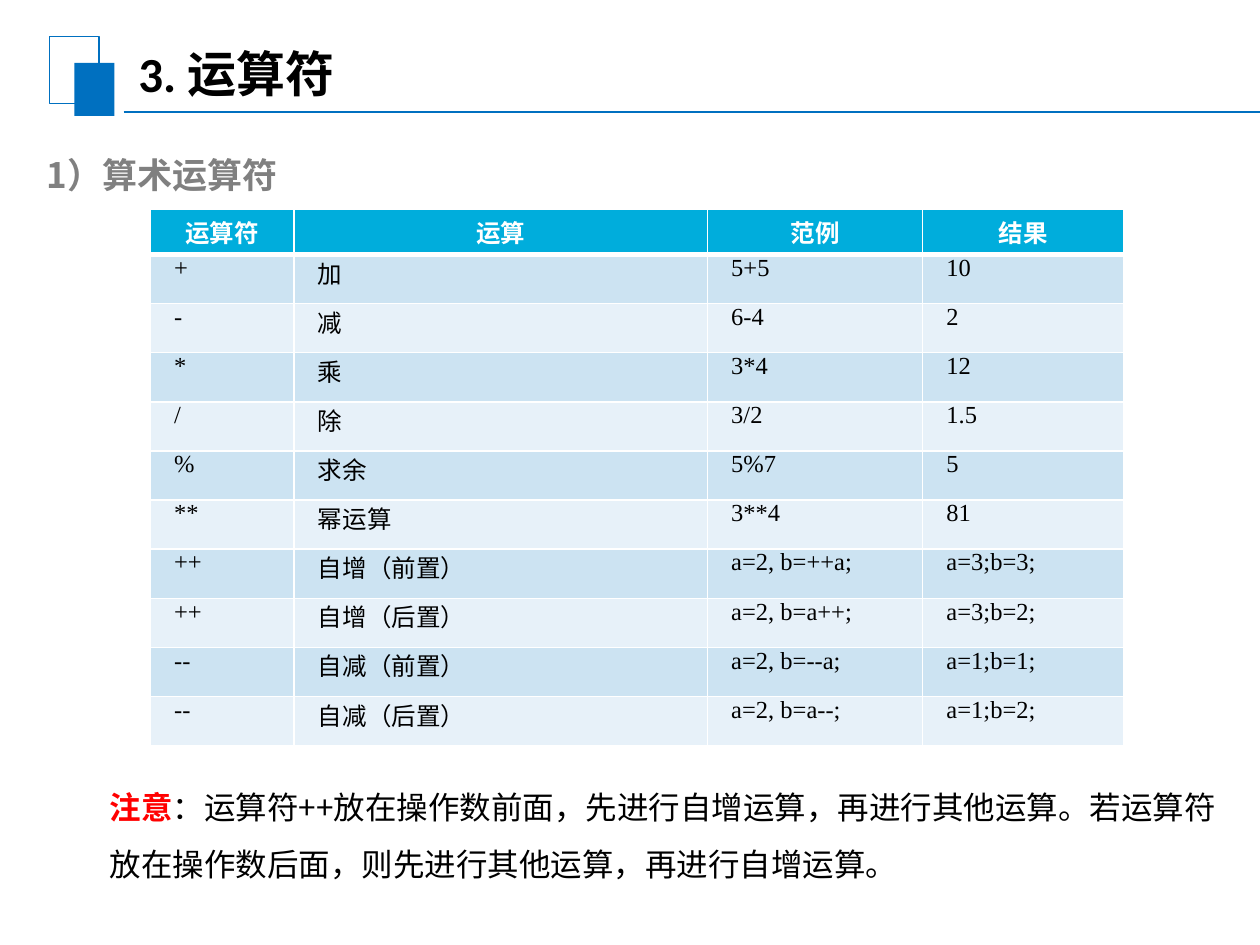
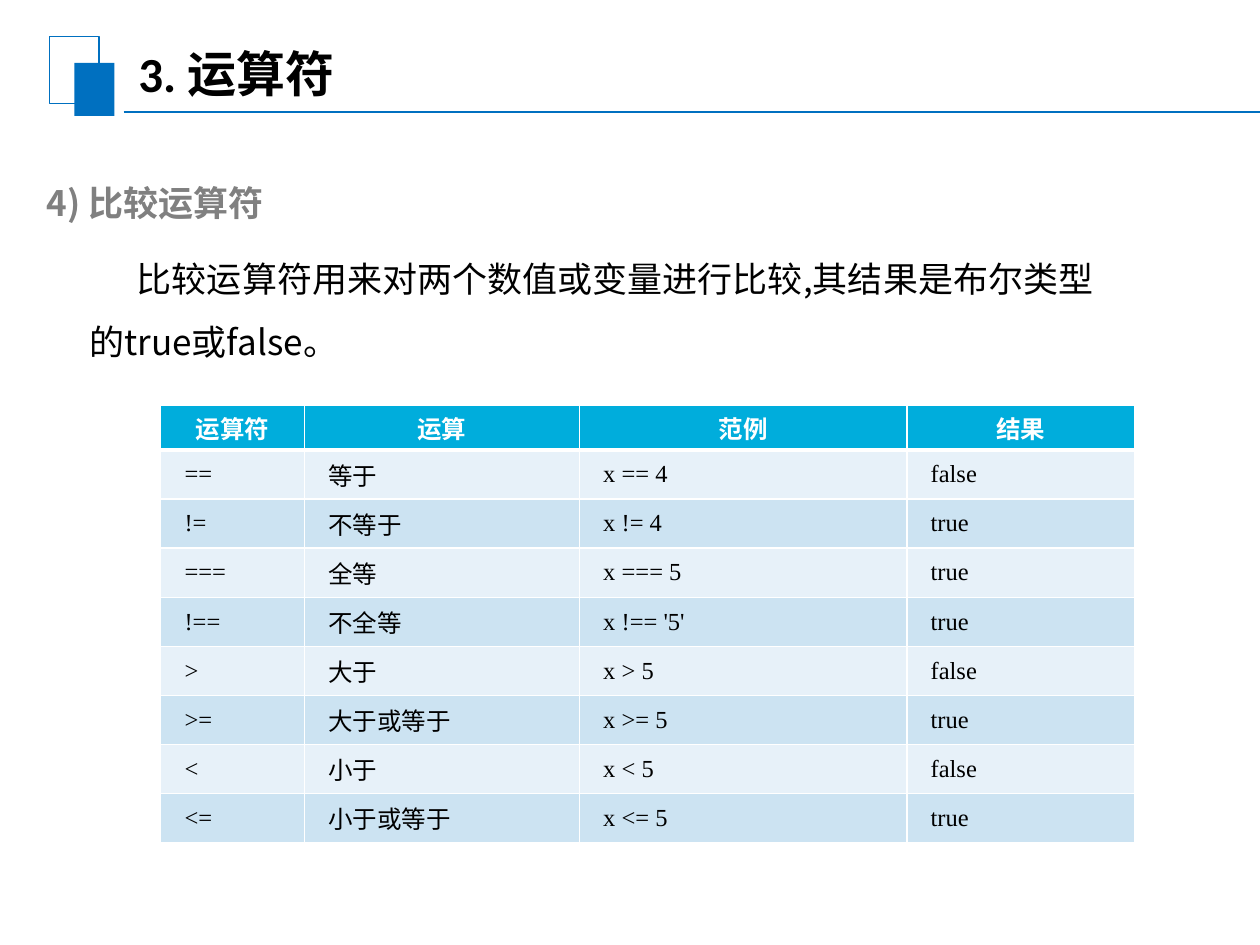
from dataclasses import dataclass
from typing import Any

from lxml import etree
from pptx import Presentation
from pptx import util as u
from pptx.dml.color import RGBColor
from pptx.enum import lang, shapes, text
from pptx.oxml.ns import qn

Cm, Pt = u.Cm, u.Pt

BLUE = RGBColor(0x00, 0x70, 0xC0)
HEADER_BLUE = RGBColor(0x00, 0xAD, 0xDC)
BAND_DARK = RGBColor(0xCC, 0xE3, 0xF2)
BAND_LIGHT = RGBColor(0xE7, 0xF1, 0xF9)
WHITE = RGBColor(0xFF, 0xFF, 0xFF)
BLACK = RGBColor(0x00, 0x00, 0x00)
GRAY = RGBColor(0x80, 0x80, 0x80)
RED = RGBColor(0xFF, 0x00, 0x00)

CJK_FONT = "Noto Sans CJK SC"
TITLE = {"name": "Calibri", "size": Pt(28), "bold": True, "color": BLACK}
HEADING = {"name": CJK_FONT, "size": Pt(20), "bold": True, "color": GRAY}
BODY = {"name": CJK_FONT, "size": Pt(20), "bold": False, "color": BLACK}
NOTE = BODY | {"size": Pt(18)}
NOTE_LABEL = NOTE | {"bold": True, "color": RED}
TABLE_HEAD = {"name": "Calibri", "size": Pt(14), "bold": True, "color": WHITE}
TABLE_BODY = {"name": "Times New Roman", "size": Pt(14), "bold": False, "color": BLACK}

COLUMN_NAMES = ("运算符", "运算", "范例", "结果")
HEADER_HEIGHT, ROW_HEIGHT = 0.91, 0.99


@dataclass(frozen=True)
class Box:
    """Position and size in centimetres."""
    left: float
    top: float
    width: float
    height: float

    def lengths(self) -> tuple:
        return tuple(map(Cm, (self.left, self.top, self.width, self.height)))


@dataclass(frozen=True)
class TextBlock:
    box: Box
    runs: tuple[tuple[str, dict[str, Any]], ...]
    margin: float = 0
    indent: float = 0
    line_spacing: float = 1.0


@dataclass(frozen=True)
class OperatorTable:
    left: float
    top: float
    columns: tuple[float, ...]
    bands: tuple[RGBColor, RGBColor]
    anchor: text.MSO_ANCHOR
    rows: tuple[tuple[str, ...], ...]


@dataclass(frozen=True)
class OperatorSlide:
    blocks: tuple[TextBlock, ...]
    table: OperatorTable


SLIDES = (
    OperatorSlide(
        (
            TextBlock(Box(0.69, 2.97, 23.42, 1.12), (("1）算术运算符", HEADING),), 1.27, -1.27),
            TextBlock(
                Box(1.96, 15.39, 23.34, 2.41),
                (
                    ("注意", NOTE_LABEL),
                    ("：运算符++放在操作数前面，先进行自增运算，再进行其他运算。"
                     "若运算符放在操作数后面，则先进行其他运算，再进行自增运算。", NOTE),
                ),
                line_spacing=1.5,
            ),
        ),
        OperatorTable(
            3.03, 4.22, (2.9, 8.33, 4.34, 4.06), (BAND_DARK, BAND_LIGHT), text.MSO_ANCHOR.TOP,
            (
                ("+", "加", "5+5", "10"),
                ("-", "减", "6-4", "2"),
                ("*", "乘", "3*4", "12"),
                ("/", "除", "3/2", "1.5"),
                ("%", "求余", "5%7", "5"),
                ("**", "幂运算", "3**4", "81"),
                ("++", "自增（前置）", "a=2, b=++a;", "a=3;b=3;"),
                ("++", "自增（后置）", "a=2, b=a++;", "a=3;b=2;"),
                ("--", "自减（前置）", "a=2, b=--a;", "a=1;b=1;"),
                ("--", "自减（后置）", "a=2, b=a--;", "a=1;b=2;"),
            ),
        ),
    ),
    OperatorSlide(
        (
            TextBlock(Box(0.69, 3.53, 23.42, 1.12), (("4) 比较运算符", HEADING),), 1.27, -1.27),
            TextBlock(
                Box(1.55, 4.65, 21.31, 2.82),
                (("比较运算符用来对两个数值或变量进行比较,其结果是布尔类型的true或false。", BODY),),
                indent=0.96, line_spacing=1.5,
            ),
        ),
        OperatorTable(
            3.24, 8.16, (2.9, 5.54, 6.6, 4.6), (BAND_LIGHT, BAND_DARK), text.MSO_ANCHOR.MIDDLE,
            (
                ("==", "等于", "x == 4", "false"),
                ("!=", "不等于", "x != 4", "true"),
                ("===", "全等", "x === 5", "true"),
                ("!==", "不全等", "x !== '5'", "true"),
                (">", "大于", "x > 5", "false"),
                (">=", "大于或等于", "x >= 5", "true"),
                ("<", "小于", "x < 5", "false"),
                ("<=", "小于或等于", "x <= 5", "true"),
            ),
        ),
    ),
)


def set_values(target: Any, values: dict[str, Any]) -> None:
    for name, value in values.items():
        setattr(target, name, value)


def add_run(paragraph: Any, content: str, style: dict[str, Any]) -> None:
    run = paragraph.add_run()
    run.text = content
    font = run.font
    set_values(font, {name: value for name, value in style.items() if name != "color"})
    font.color.rgb = style["color"]
    font.language_id = lang.MSO_LANGUAGE_ID.SIMPLIFIED_CHINESE
    latin = run._r.get_or_add_rPr().find(qn("a:latin"))
    east_asian = etree.Element(qn("a:ea"), typeface=CJK_FONT)
    latin.addnext(east_asian)


def set_indent(paragraph: Any, margin: float, indent: float) -> None:
    properties = paragraph._p.get_or_add_pPr()
    properties.set("marL", str(int(Cm(margin))))
    properties.set("indent", str(int(Cm(indent))))


def add_text(slide: Any, block: TextBlock, frame_format: dict[str, Any]) -> None:
    frame = slide.shapes.add_textbox(*block.box.lengths()).text_frame
    set_values(frame, {"word_wrap": True} | frame_format)
    paragraph = frame.paragraphs[0]
    set_indent(paragraph, block.margin, block.indent)
    paragraph.line_spacing = block.line_spacing
    for content, style in block.runs:
        add_run(paragraph, content, style)


def add_rectangle(slide: Any, box: Box, fill: RGBColor | None, line: RGBColor | None) -> None:
    shape = slide.shapes.add_shape(shapes.MSO_SHAPE.RECTANGLE, *box.lengths())
    shape.shadow.inherit = False
    if fill is None:
        shape.fill.background()
    else:
        shape.fill.solid()
        shape.fill.fore_color.rgb = fill
    if line is None:
        shape.line.fill.background()
    else:
        shape.line.color.rgb = line
        shape.line.width = Pt(0.75)


def add_title_band(slide: Any) -> None:
    add_rectangle(slide, Box(1, 0.74, 1, 1.35), None, BLUE)
    add_rectangle(slide, Box(1.5, 1.27, 0.81, 1.07), BLUE, None)
    rule = slide.shapes.add_connector(
        shapes.MSO_CONNECTOR.STRAIGHT, Cm(2.49), Cm(2.26), Cm(25.7), Cm(2.26))
    rule.line.color.rgb = BLUE
    rule.line.width = Pt(1.25)
    etree.SubElement(rule._element.spPr, qn("a:effectLst"))
    title = TextBlock(Box(2.46, 0.74, 10.08, 1.47), (("3. 运算符", TITLE),))
    add_text(slide, title, {
        "vertical_anchor": text.MSO_ANCHOR.MIDDLE,
        "margin_left": Cm(0.33), "margin_right": Cm(0.33),
        "margin_top": Cm(0.18), "margin_bottom": Cm(0.18),
    })


def set_borders(cell: Any, top: float, bottom: float) -> None:
    properties = cell._tc.get_or_add_tcPr()
    for side, points in {"L": 1, "R": 1, "T": top, "B": bottom}.items():
        border = etree.SubElement(properties, qn(f"a:ln{side}"), w=str(int(Pt(points))))
        fill = etree.SubElement(border, qn("a:solidFill"))
        etree.SubElement(fill, qn("a:srgbClr"), val=str(WHITE))


def fill_cell(cell: Any, content: str, row: int, table: OperatorTable) -> None:
    is_header = row == 0
    side_margin = Cm(0.2 if is_header else 0.18)
    set_values(cell, {
        "margin_left": side_margin, "margin_right": side_margin,
        "margin_top": 0, "margin_bottom": 0,
        "vertical_anchor": text.MSO_ANCHOR.MIDDLE if is_header else table.anchor,
    })
    set_borders(cell, top=3 if row == 1 else 1, bottom=3 if is_header else 1)
    cell.fill.solid()
    cell.fill.fore_color.rgb = HEADER_BLUE if is_header else table.bands[(row - 1) % 2]
    paragraph = cell.text_frame.paragraphs[0]
    if is_header:
        paragraph.alignment = text.PP_ALIGN.CENTER
    else:
        paragraph.alignment = text.PP_ALIGN.JUSTIFY
        set_indent(paragraph, 0.3, 0)
    add_run(paragraph, content, TABLE_HEAD if is_header else TABLE_BODY)


def add_operator_table(slide: Any, table: OperatorTable) -> None:
    rows = (COLUMN_NAMES, *table.rows)
    box = Box(table.left, table.top, sum(table.columns),
              HEADER_HEIGHT + ROW_HEIGHT * len(table.rows))
    grid = slide.shapes.add_table(len(rows), len(COLUMN_NAMES), *box.lengths()).table
    grid.horz_banding = False
    for column, width in zip(grid.columns, table.columns):
        column.width = Cm(width)
    for row, contents in enumerate(rows):
        grid.rows[row].height = Cm(ROW_HEIGHT if row else HEADER_HEIGHT)
        for column, content in enumerate(contents):
            fill_cell(grid.cell(row, column), content, row, table)


def main() -> None:
    presentation = Presentation()
    presentation.slide_width, presentation.slide_height = Cm(25.4), Cm(19.05)
    blank = presentation.slide_layouts[6]
    for content in SLIDES:
        slide = presentation.slides.add_slide(blank)
        add_title_band(slide)
        # Heading and explanatory text
        for block in content.blocks:
            add_text(slide, block, {"auto_size": text.MSO_AUTO_SIZE.SHAPE_TO_FIT_TEXT})
        add_operator_table(slide, content.table)
    presentation.save("out.pptx")


if __name__ == "__main__":
    main()
